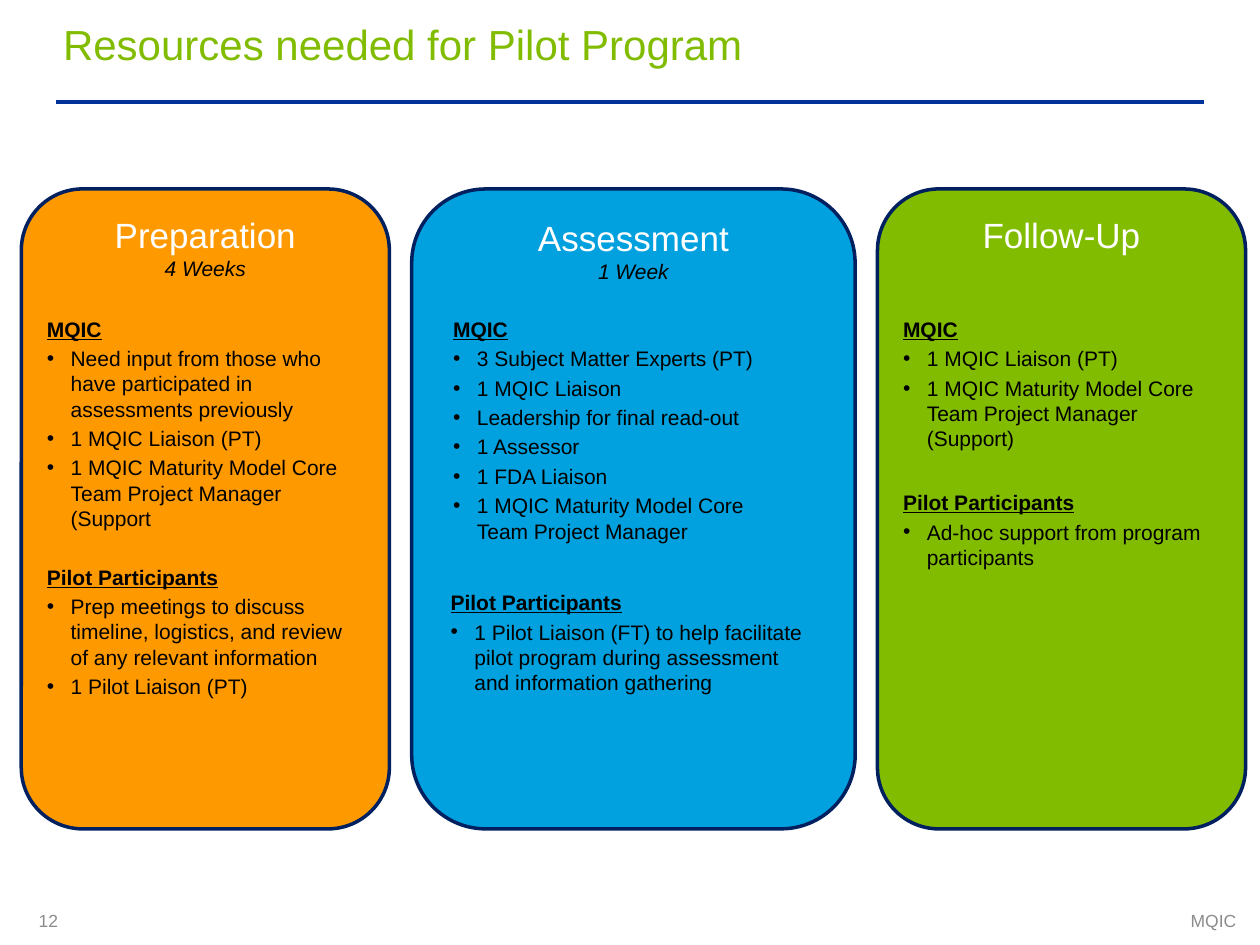
from dataclasses import dataclass
from pptx import Presentation
from pptx.dml.color import RGBColor as RGB
from pptx.enum.shapes import MSO_CONNECTOR as CONN, MSO_SHAPE as SHAPE
from pptx.enum.text import MSO_ANCHOR as ANCHOR, MSO_AUTO_SIZE as FIT, PP_ALIGN as ALIGN
from pptx.oxml.ns import qn
from pptx.util import Cm, Pt
from lxml.etree import SubElement


@dataclass(frozen=True)
class Theme:
    font: str = "Arial"
    green: str = "81BC00"
    orange: str = "FF9900"
    blue: str = "00A1DE"
    navy: str = "002060"
    rule: str = "003399"
    grey: str = "8C8C8C"
    white: str = "FFFFFF"
    black: str = "000000"
    title: int = 24
    heading: int = 20
    body: int = 12
    footer: int = 10


T = Theme()
ORG = "MQIC"
PARTNERS = "Pilot Participants"
PANELS = [
    dict(name="Preparation", time="4 Weeks", fill=T.orange, width=7.42, lists=[
        dict(box=(0.26, 2.44, 6.88, 3.71), gap=19.3, groups=[
            (ORG, ["Need input from those who have participated in assessments previously",
                   f"1 {ORG} Liaison (PT)",
                   f"1 {ORG} Maturity Model Core Team Project Manager (Support"]),
            (PARTNERS, ["Prep meetings to discuss timeline, logistics, and review of any "
                        "relevant information",
                        "1 Pilot Liaison (PT)"])])]),
    dict(name="Assessment", time="1 Week", fill=T.blue, width=8.94, lists=[
        dict(box=(0.58, 2.44, 7.42, 3.71), gap=0, groups=[
            (ORG, ["3 Subject Matter Experts (PT)", f"1 {ORG} Liaison",
                   "Leadership for final read-out", "1 Assessor", "1 FDA Liaison",
                   f"1 {ORG} Maturity Model Core Team Project Manager"])]),
        dict(box=(0.53, 7.95, 7.92, 3.71), gap=0, groups=[
            (PARTNERS, ["1 Pilot Liaison (FT) to help facilitate pilot program during "
                        "assessment and information gathering"])])]),
    dict(name="Follow-Up", time=None, fill=T.green, width=7.42, lists=[
        dict(box=(0.26, 2.44, 6.88, 3.71), gap=22.2, groups=[
            (ORG, [f"1 {ORG} Liaison (PT)",
                   f"1 {ORG} Maturity Model Core Team Project Manager (Support)"]),
            (PARTNERS, ["Ad-hoc support from program participants"])])]),
]


def apply(target, formats):
    for key, value in formats.items():
        setattr(target, key, value)


def place(sp, left, top, width, height):
    apply(sp, dict(left=Cm(left), top=Cm(top), width=Cm(width), height=Cm(height)))


def write(p, text, size, color, **formats):
    r = p.add_run()
    r.text = text
    apply(r.font, dict(name=T.font, size=Pt(size), **formats))
    r.font.color.rgb = RGB.from_string(color)


def next_paragraph(tf):
    return tf.add_paragraph() if tf.paragraphs[0].runs else tf.paragraphs[0]


def set_bullet(p, char=None):
    pPr = p._p.get_or_add_pPr()
    indent = Cm(0.48) if char else 0
    pPr.set("marL", str(indent))
    pPr.set("indent", str(-indent))
    if char:
        SubElement(pPr, qn("a:buFont"), typeface=T.font)
        SubElement(pPr, qn("a:buChar"), char=char)
    else:
        SubElement(pPr, qn("a:buNone"))


def add_header(s, left, top, width):
    sp = s.shapes.title
    place(sp, left, top, width, 1.02)
    tf = sp.text_frame
    apply(tf, dict(margin_left=0, margin_right=0, margin_top=0, margin_bottom=0,
                   vertical_anchor=ANCHOR.TOP, auto_size=FIT.NONE))
    p = tf.paragraphs[0]
    p.alignment = ALIGN.LEFT
    write(p, "Resources needed for Pilot Program", T.title, T.green)
    x, y = left - 0.15, top + 1.68
    line = s.shapes.add_connector(CONN.STRAIGHT, Cm(x), Cm(y), Cm(x + width + 0.3), Cm(y))
    line.line.color.rgb = RGB.from_string(T.rule)
    line.line.width = Pt(2.25)
    SubElement(line._element.spPr, qn("a:effectLst"))


def fill_list(sp, box, gap, groups):
    place(sp, *box)
    sp.element.getparent().append(sp.element)
    tf = sp.text_frame
    apply(tf, dict(word_wrap=True, auto_size=FIT.NONE, vertical_anchor=ANCHOR.TOP))
    for i, (heading, items) in enumerate(groups):
        p = next_paragraph(tf)
        p.space_before = Pt(gap if i else 2.4)
        set_bullet(p)
        write(p, heading, T.body, T.black, bold=True, underline=True)
        for item in items:
            p = next_paragraph(tf)
            p.space_before = Pt(2.4)
            set_bullet(p, "•")
            write(p, item, T.body, T.black, bold=False)


def add_panel(s, panel, bodies, left, top, height):
    sp = s.shapes.add_shape(SHAPE.ROUNDED_RECTANGLE, Cm(left), Cm(top),
                            Cm(panel["width"]), Cm(height))
    sp.shadow.inherit = False
    sp.fill.solid()
    sp.fill.fore_color.rgb = RGB.from_string(panel["fill"])
    sp.line.color.rgb = RGB.from_string(T.navy)
    sp.line.width = Pt(2)
    tf = sp.text_frame
    tf.vertical_anchor = ANCHOR.TOP
    write(tf.paragraphs[0], panel["name"], T.heading, T.white)
    if panel["time"]:
        write(tf.add_paragraph(), panel["time"], T.body, T.black, italic=True)
    for p in tf.paragraphs:
        p.alignment = ALIGN.CENTER
    for block in panel["lists"]:
        x, y, w, h = block["box"]
        fill_list(next(bodies), (left + x, top + y, w, h), block["gap"], block["groups"])


def add_footer(s, left, top, width, height):
    number_width, org_width = 0.94, 7.57
    for text, x, w, align, inset in [
            ("12", left, number_width, ALIGN.LEFT, 0.25),
            (ORG, left + width - org_width, org_width, ALIGN.RIGHT, 0)]:
        sp = s.shapes.add_textbox(Cm(x), Cm(top), Cm(w), Cm(height))
        tf = sp.text_frame
        apply(tf, dict(word_wrap=inset == 0, vertical_anchor=ANCHOR.MIDDLE,
                       margin_left=Cm(inset), margin_right=Cm(inset)))
        p = tf.paragraphs[0]
        p.alignment = align
        write(p, text, T.footer, T.grey)


def build_slide(prs):
    s = prs.slides.add_slide(prs.slide_layouts.get_by_name("Comparison"))
    bodies = iter([sp for sp in s.placeholders if sp.placeholder_format.idx])
    add_header(s, 1.27, 0.38, 22.86)
    left, gap = 0.43, 0.45
    for panel in PANELS:
        add_panel(s, panel, bodies, left, 3.81, 12.9)
        left += panel["width"] + gap
    add_footer(s, 0.53, 18.21, 24.39, 0.69)


prs = Presentation()
apply(prs, dict(slide_width=Cm(25.4), slide_height=Cm(19.05)))
build_slide(prs)
prs.save("out.pptx")
